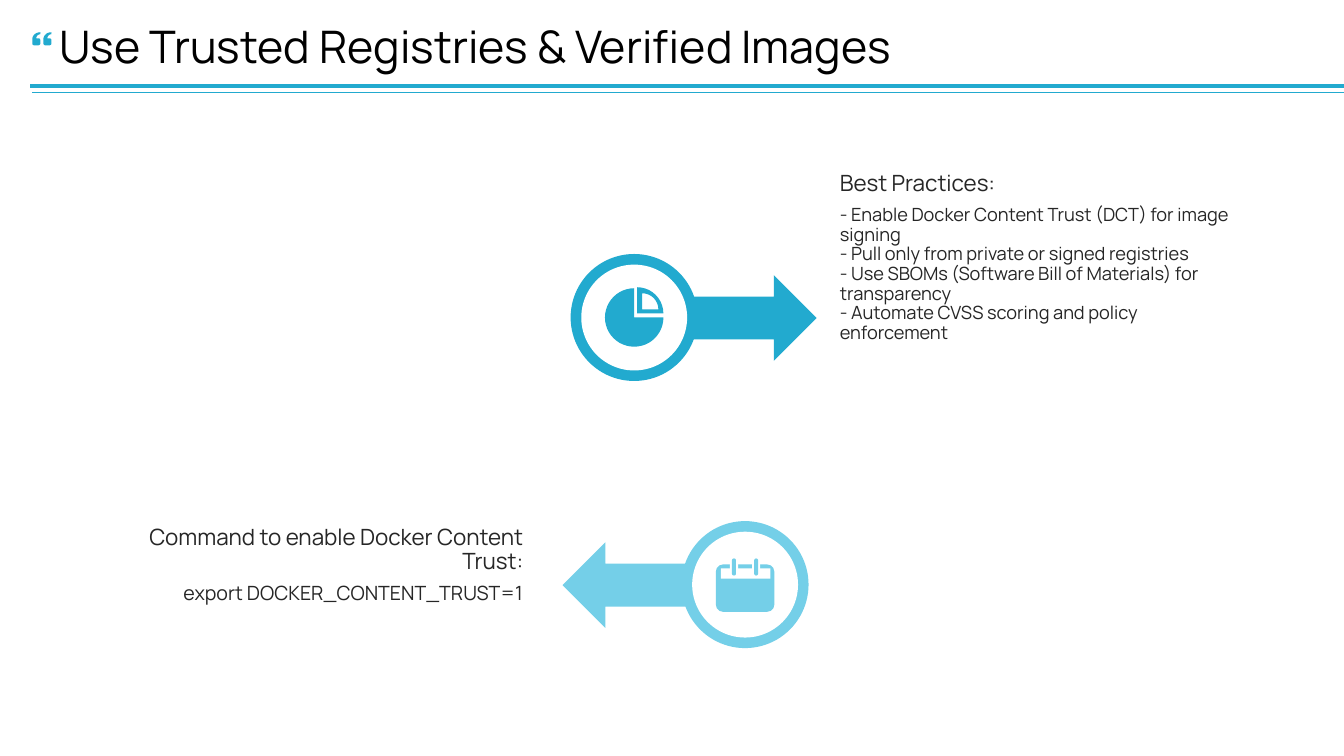
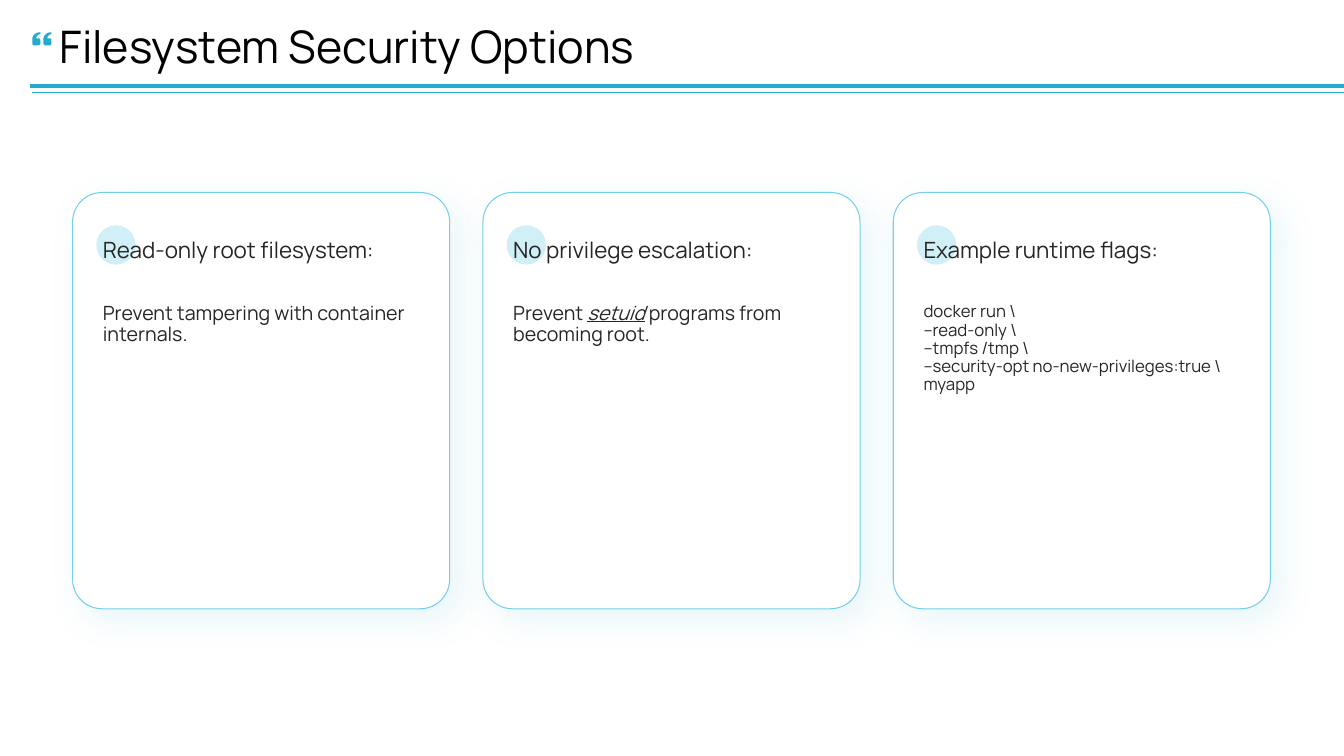
from math import cos, radians, sin

from lxml import etree
from pptx import Presentation
from pptx.dml.color import RGBColor
from pptx.enum.shapes import MSO_CONNECTOR, MSO_SHAPE
from pptx.enum.text import MSO_ANCHOR, MSO_AUTO_SIZE, PP_ALIGN
from pptx.oxml.ns import qn
from pptx.util import Inches, Pt

FONT = "Manrope"
BLACK, INK, WHITE = "000000", "262626", "FFFFFF"
TEAL, SKY, PALE = "22AACF", "74CFE8", "D1EFF7"


def rgb(value):
    return RGBColor.from_string(value)


def arc(cx, cy, rx, ry, start, end, steps=10):
    """Points on an ellipse; angles in degrees, clockwise from the right."""
    angles = [radians(start + (end - start) * i / steps) for i in range(steps + 1)]
    return [(cx + rx * cos(a), cy + ry * sin(a)) for a in angles]


def quarter(x, y, radius):
    """Upper-right quarter disc with its corner at x, y."""
    return [(x, y)] + arc(x, y, radius, radius, -90, 0)


def quote_mark(x, y):
    return (
        arc(x + 0.08, y + 0.07, 0.08, 0.07, 180, 270)
        + arc(x + 0.08, y + 0.06, 0.04, 0.04, 270, 180)
        + arc(x + 0.06, y + 0.08, 0.02, 0.02, 270, 360)
        + arc(x + 0.06, y + 0.11, 0.02, 0.02, 0, 90)
        + arc(x + 0.02, y + 0.11, 0.02, 0.02, 90, 180)
    )


class Deck:
    def __init__(self):
        self.prs = Presentation()
        self.prs.slide_width, self.prs.slide_height = Inches(13.33), Inches(7.5)
        self.slide = None

    def new_slide(self, title):
        self.slide = self.prs.slides.add_slide(self.prs.slide_layouts[5])
        heading = self.slide.shapes.title
        heading.left, heading.top = Inches(0.59), Inches(0.25)
        heading.width, heading.height = Inches(12.17), Inches(0.47)
        self.fill_text(heading.text_frame, [title], 32, BLACK,
                       anchor=MSO_ANCHOR.MIDDLE)
        self.outline(TEAL, quote_mark(0.32, 0.32), quote_mark(0.43, 0.32))
        self.rule(0.3, 0.85, 3)
        self.rule(0.32, 0.92, 0.75)

    def fill_text(self, frame, lines, size, colour=INK, align=PP_ALIGN.LEFT,
                  anchor=MSO_ANCHOR.TOP):
        """Fill a frame, one paragraph a line; *words* are italic and underlined."""
        frame.word_wrap = True
        frame.auto_size = MSO_AUTO_SIZE.NONE
        frame.vertical_anchor = anchor
        frame.margin_left = frame.margin_right = 0
        frame.margin_top = frame.margin_bottom = 0
        for number, line in enumerate(lines):
            paragraph = frame.add_paragraph() if number else frame.paragraphs[0]
            paragraph.alignment = align
            paragraph.line_spacing = 0.9
            for index, piece in enumerate(line.split("*")):
                run = paragraph.add_run()
                run.text = piece
                run.font.name = FONT
                run.font.size = Pt(size)
                run.font.color.rgb = rgb(colour)
                if index % 2:
                    run.font.italic = run.font.underline = True

    def text(self, x, y, w, h, lines, size, **style):
        box = self.slide.shapes.add_textbox(Inches(x), Inches(y), Inches(w), Inches(h))
        self.fill_text(box.text_frame, lines, size, **style)

    def paint(self, shape, fill):
        shape.shadow.inherit = False
        shape.fill.solid()
        shape.fill.fore_color.rgb = rgb(fill)
        shape.line.fill.background()
        return shape

    def shape(self, kind, x, y, w, h, fill):
        return self.paint(self.slide.shapes.add_shape(
            kind, Inches(x), Inches(y), Inches(w), Inches(h)), fill)

    def rounded(self, x, y, w, h, fill, corner):
        box = self.shape(MSO_SHAPE.ROUNDED_RECTANGLE, x, y, w, h, fill)
        box.adjustments[0] = corner
        return box

    def circle(self, cx, cy, diameter, fill):
        self.shape(MSO_SHAPE.OVAL, cx - diameter / 2, cy - diameter / 2,
                   diameter, diameter, fill)

    def outline(self, fill, *contours):
        builder = None
        for contour in contours:
            points = [(Inches(x), Inches(y)) for x, y in contour]
            if builder is None:
                builder = self.slide.shapes.build_freeform(*points[0])
            else:
                builder.move_to(*points[0])
            builder.add_line_segments(points[1:], close=True)
        self.paint(builder.convert_to_shape(), fill)

    def rule(self, x, y, weight):
        line = self.slide.shapes.add_connector(
            MSO_CONNECTOR.STRAIGHT, Inches(x), Inches(y), Inches(13.33), Inches(y))
        line.line.color.rgb = rgb(TEAL)
        line.line.width = Pt(weight)
        etree.SubElement(line._element.spPr, qn("a:effectLst"))

    def glow(self, shape):
        """Give a shape a soft, faint shadow to the lower right."""
        effects = shape._element.spPr.find(qn("a:effectLst"))
        shadow = etree.SubElement(
            effects, qn("a:outerShdw"), blurRad=str(Pt(25)), dist=str(Pt(10)),
            dir="2700000", algn="tl", rotWithShape="0")
        tint = etree.SubElement(shadow, qn("a:srgbClr"), val=TEAL)
        etree.SubElement(tint, qn("a:alpha"), val="10000")

    def callout(self, x, y, heading, lines, size, height, align=PP_ALIGN.LEFT):
        self.text(x, y, 3.94, 0.68, [heading], 16, align=align,
                  anchor=MSO_ANCHOR.BOTTOM)
        self.text(x, y + 0.77, 3.94, height, lines, size, align=align)

    def badge(self, cx, cy, arrow, arrow_x, colour):
        """Ring centred on cx, cy with a block arrow behind it."""
        self.shape(arrow, arrow_x, cy - 0.42, 1.55, 0.85, colour)
        self.circle(cx, cy, 1.26, colour)
        self.circle(cx, cy, 1.05, WHITE)

    def pie_icon(self, cx, cy, colour):
        self.shape(MSO_SHAPE.PIE, cx - 0.29, cy - 0.29, 0.58, 0.58, colour)
        self.outline(colour, quarter(cx + 0.03, cy - 0.04, 0.26),
                     quarter(cx + 0.08, cy - 0.08, 0.16))

    def calendar_icon(self, cx, cy, colour):
        self.rounded(cx - 0.29, cy - 0.2, 0.58, 0.47, colour, 0.15)
        self.shape(MSO_SHAPE.RECTANGLE, cx - 0.24, cy - 0.16, 0.49, 0.1, WHITE)
        for pin_x in (cx - 0.11, cx + 0.11):
            self.shape(MSO_SHAPE.RECTANGLE, pin_x - 0.04, cy - 0.21, 0.08, 0.1, WHITE)
            self.rounded(pin_x - 0.02, cy - 0.26, 0.04, 0.17, colour, 0.5)

    def card(self, x, y, heading, lines, size):
        panel = self.rounded(x, y, 3.74, 4.13, WHITE, 0.078)
        panel.line.color.rgb = rgb(SKY)
        panel.line.width = Pt(0.75)
        self.glow(panel)
        self.circle(x + 0.43, y + 0.52, 0.39, PALE)
        self.text(x + 0.3, y + 0.41, 3.15, 0.35, [heading], 16,
                  anchor=MSO_ANCHOR.MIDDLE)
        self.text(x + 0.3, y + 1.1, 3.15, 2.56, lines, size)


def registries_slide(deck):
    deck.new_slide("Use Trusted Registries & Verified Images")
    deck.callout(8.33, 1.27, "Best Practices:", [
        "- Enable Docker Content Trust (DCT) for image signing",
        "- Pull only from private or signed registries",
        "- Use SBOMs (Software Bill of Materials) for transparency",
        "- Automate CVSS scoring and policy enforcement",
    ], 13, 2.63)
    deck.callout(1.25, 5.02, "Command to enable Docker Content Trust:",
                 ["export DOCKER_CONTENT_TRUST=1"], 14, 1.43, PP_ALIGN.RIGHT)
    deck.badge(6.29, 3.15, MSO_SHAPE.RIGHT_ARROW, 6.55, TEAL)
    deck.pie_icon(6.29, 3.15, TEAL)
    deck.badge(7.39, 5.8, MSO_SHAPE.LEFT_ARROW, 5.58, SKY)
    deck.calendar_icon(7.39, 5.8, SKY)


def filesystem_slide(deck):
    deck.new_slide("Filesystem Security Options")
    options = [
        ("Read-only root filesystem:",
         ["Prevent tampering with container internals."], 14),
        ("No privilege escalation:",
         ["Prevent *setuid* programs from becoming root."], 14),
        ("Example runtime flags:",
         ["docker run \\", "--read-only \\", "--tmpfs /tmp \\",
          "--security-opt no-new-privileges:true \\", "myapp"], 12),
    ]
    for column, (heading, lines, size) in enumerate(options):
        deck.card(0.72 + 4.07 * column, 1.91, heading, lines, size)


def main():
    deck = Deck()
    registries_slide(deck)
    filesystem_slide(deck)
    deck.prs.save("out.pptx")


if __name__ == "__main__":
    main()
